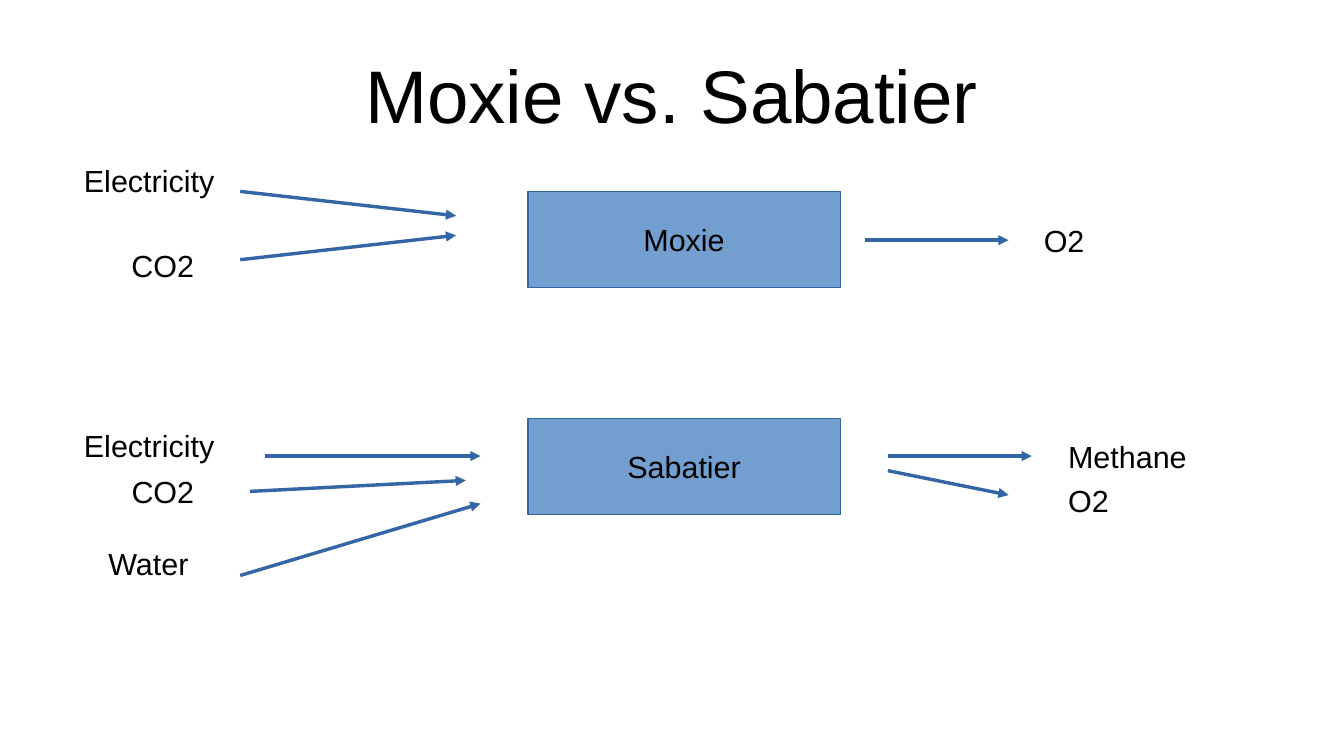
import pptx
import pptx.util
import pptx.dml.color
import pptx.enum.shapes
import pptx.enum.text
import pptx.oxml
import pptx.oxml.ns
from lxml import etree

EMU_PER_PX = 9144
INK, FILL, STROKE = "000000", "729FCF", "3465A4"
ALIGN = pptx.enum.text.PP_ALIGN
ANCHOR = pptx.enum.text.MSO_ANCHOR


def px(*lengths):
    return [pptx.util.Emu(length * EMU_PER_PX) for length in lengths]


def colour(hex_code):
    return pptx.dml.color.RGBColor.from_string(hex_code)


def write(shape, text, size=18, align=ALIGN.LEFT, anchor=ANCHOR.TOP, inset=(10, 5)):
    frame = shape.text_frame
    frame.word_wrap = True
    frame.vertical_anchor = anchor
    frame.margin_left = frame.margin_right = px(inset[0])[0]
    frame.margin_top = frame.margin_bottom = px(inset[1])[0]
    para = frame.paragraphs[0]
    para.alignment = align
    span = para.add_run()
    span.text = text
    span.font.name = "Arial"
    span.font.size = pptx.util.Pt(size)
    span.font.color.rgb = colour(INK)


def add_title(page, box, text):
    title = page.shapes.title
    title.left, title.top, title.width, title.height = px(*box)
    write(title, text, size=44, align=ALIGN.CENTER, anchor=ANCHOR.MIDDLE, inset=(0, 0))


def add_label(page, box, text):
    write(page.shapes.add_textbox(*px(*box)), text)


def add_arrow(page, start, end):
    arrow = page.shapes.add_connector(
        pptx.enum.shapes.MSO_CONNECTOR.STRAIGHT, *px(*start, *end))
    arrow.line.color.rgb = colour(STROKE)
    arrow.line.width = pptx.util.Pt(0)
    etree.SubElement(arrow.line._get_or_add_ln(),
                     pptx.oxml.ns.qn("a:tailEnd"), type="triangle")
    etree.SubElement(arrow._element.spPr, pptx.oxml.ns.qn("a:effectLst"))


def add_process(page, box, name, labels, arrows):
    left, top = box[:2]
    reactor = page.shapes.add_shape(
        pptx.enum.shapes.MSO_SHAPE.RECTANGLE, *px(*box))
    reactor.shadow.inherit = False
    reactor.fill.solid()
    reactor.fill.fore_color.rgb = colour(FILL)
    reactor.line.color.rgb = colour(STROKE)
    reactor.line.width = pptx.util.Pt(0)
    write(reactor, name, align=ALIGN.CENTER, anchor=ANCHOR.MIDDLE)
    for text, across, down, width in labels:
        add_label(page, (left + across, top + down, width, 38), text)
    for x1, y1, x2, y2 in arrows:
        add_arrow(page, (left + x1, top + y1), (left + x2, top + y2))


def main():
    deck = pptx.Presentation()
    deck.slide_width, deck.slide_height = px(1102, 620)
    page = deck.slides.add_slide(deck.slide_layouts.get_by_name("Title Only"))
    add_title(page, (55, 25, 992, 104), "Moxie vs. Sabatier")
    add_process(
        page, (433, 157, 256, 79), "Moxie",
        labels=[("Electricity", -374, -29, 197), ("CO2", -335, 41, 276),
                ("O2", 413, 20, 118)],
        arrows=[(-236, 0, -59, 20), (-236, 56, -59, 36), (276, 40, 394, 40)])
    add_process(
        page, (433, 343, 256, 79), "Sabatier",
        labels=[("Electricity", -374, 2, 197), ("CO2", -335, 40, 118),
                ("Water", -354, 99, 118), ("Methane", 433, 11, 118),
                ("O2", 433, 47, 118)],
        arrows=[(-216, 31, -39, 31), (-228, 60, -51, 51), (-236, 129, -39, 70),
                (295, 31, 413, 31), (295, 43, 394, 63)])
    deck.save("out.pptx")


if __name__ == "__main__":
    main()
